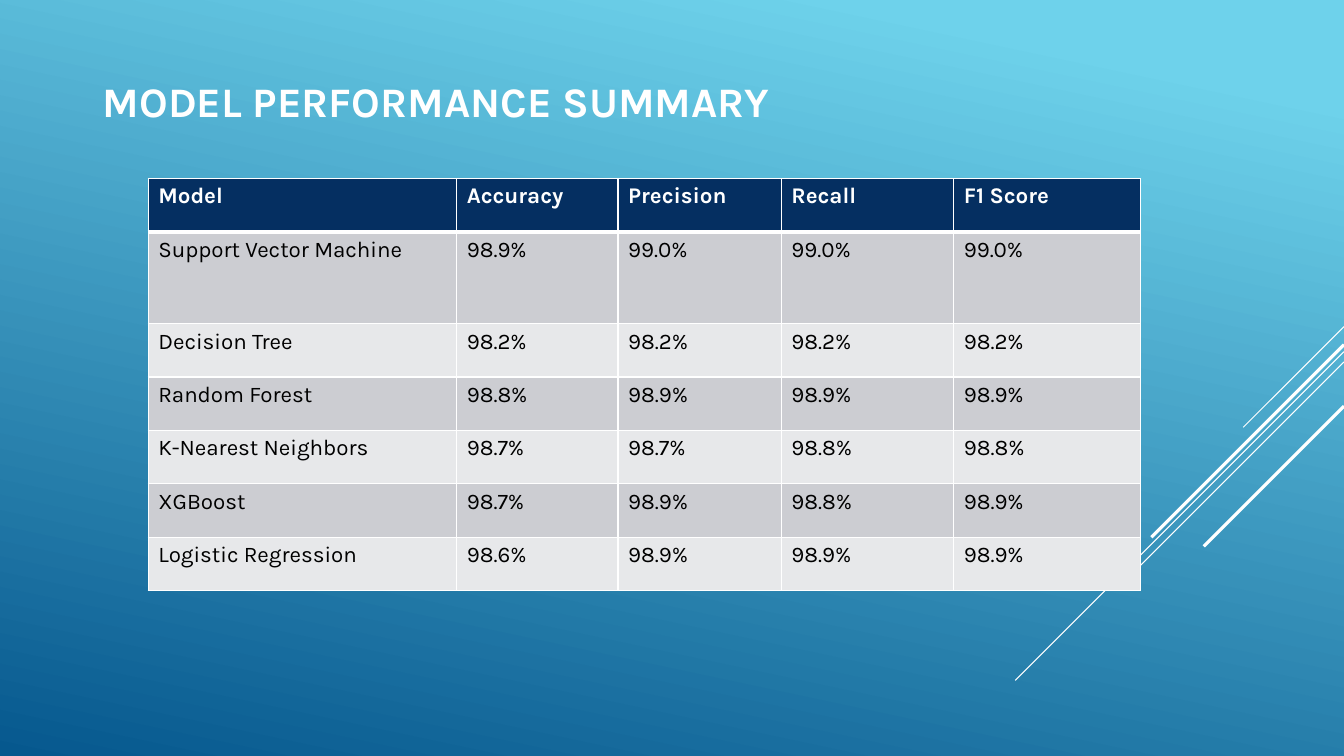
from pptx import Presentation
from pptx.dml.color import RGBColor
from pptx.enum.shapes import MSO_CONNECTOR
from pptx.enum.text import MSO_ANCHOR, MSO_AUTO_SIZE, PP_ALIGN
from pptx.oxml.ns import qn
from pptx.util import Inches, Pt
from lxml import etree

STRAIGHT = MSO_CONNECTOR.STRAIGHT
MIDDLE = MSO_ANCHOR.MIDDLE
FIXED = MSO_AUTO_SIZE.NONE
LEFT = PP_ALIGN.LEFT

WIDE, HIGH = Inches(13.33), Inches(7.5)
FONT = "Karla"
HUES = {
    "sky": "6ED2EB", "sea": "06588E", "navy": "052F61", "white": "FFFFFF",
    "black": "000000", "dark": "CCCDD2", "light": "E7E8EA",
}
HEAD = ["Model", "Accuracy", "Precision", "Recall", "F1 Score"]
SCORES = [
    ["Support Vector Machine", 98.9, 99.0, 99.0, 99.0],
    ["Decision Tree", 98.2, 98.2, 98.2, 98.2],
    ["Random Forest", 98.8, 98.9, 98.9, 98.9],
    ["K-Nearest Neighbors", 98.7, 98.7, 98.8, 98.8],
    ["XGBoost", 98.7, 98.9, 98.8, 98.9],
    ["Logistic Regression", 98.6, 98.9, 98.9, 98.9],
]
COLS = [3.06, 1.6, 1.62, 1.71, 1.85]
ROWS = [0.53, 0.91] + [0.53] * 5
RAYS = [(43.2, 7.5, 0.75), (46.53, 24.46, 0.75), (47.87, 15.53, 0.75),
        (45.6, 14.33, 2.25), (53.73, 10.43, 2.25)]


def hue(name):
    """Return the named colour."""
    return RGBColor.from_string(HUES[name])


def area(left, top, width, height):
    """Turn percentages of the slide into a box."""
    return (int(WIDE * left / 100), int(HIGH * top / 100),
            int(WIDE * width / 100), int(HIGH * height / 100))


def style(para, size, tint, bold):
    """Format the runs of a paragraph."""
    para.alignment = LEFT
    for run in para.runs:
        run.font.name, run.font.size, run.font.bold = FONT, Pt(size), bold
        run.font.color.rgb = hue(tint)


def paint(slide):
    """Give the slide its slanted gradient."""
    fill = slide.background.fill
    fill.gradient()
    fill.gradient_angle = 258
    for stop, place, name in zip(fill.gradient_stops, (0.1, 1), ("sky", "sea")):
        stop.position = place
        stop.color.rgb = hue(name)


def draw_rays(slide, box):
    """Draw diagonal lines from the right edge of the box."""
    left, top, width, height = box
    right = left + width
    for start, reach, weight in RAYS:
        y, run = top + int(height * start / 100), int(width * reach / 100)
        ray = slide.shapes.add_connector(STRAIGHT, right, y, right - run, y + run)
        ray.line.color.rgb = hue("white")
        ray.line.width = Pt(weight)
        etree.SubElement(ray.line._get_or_add_ln().getparent(), qn("a:effectLst"))


def set_title(slide, box):
    """Place and format the title."""
    title = slide.shapes.title
    title.left, title.top, title.width, title.height = box
    frame = title.text_frame
    frame.text = "MODEL PERFORMANCE SUMMARY"
    frame.auto_size, frame.word_wrap = FIXED, True
    frame.vertical_anchor = MIDDLE
    style(frame.paragraphs[0], 30, "white", True)


def edge(cell, row):
    """Add white borders, with a thick rule below the header."""
    props = cell._tc.get_or_add_tcPr()
    thick = {"T": row == 1, "B": row == 0}
    for side in "LRTB":
        width = Pt(3 if thick.get(side) else 1)
        line = etree.SubElement(props, qn("a:ln" + side), w=str(width))
        solid = etree.SubElement(line, qn("a:solidFill"))
        etree.SubElement(solid, qn("a:srgbClr"), val=HUES["white"])


def add_scores(slide, box):
    """Build the score table in the box."""
    left, top, width, height = box
    table = slide.shapes.add_table(len(ROWS), len(COLS), *box).table
    for col, part in zip(table.columns, COLS):
        col.width = int(width * part / sum(COLS))
    for row, part in zip(table.rows, ROWS):
        row.height = int(height * part / sum(ROWS))
    body = [[name] + [f"{score:.1f}%" for score in rest] for name, *rest in SCORES]
    for r, texts in enumerate([HEAD] + body):
        back = "navy" if r == 0 else ("light", "dark")[r % 2]
        for c, text in enumerate(texts):
            cell = table.cell(r, c)
            cell.text_frame.text = text
            style(cell.text_frame.paragraphs[0], 16,
                  "black" if r else "white", r == 0)
            edge(cell, r)
            cell.fill.solid()
            cell.fill.fore_color.rgb = hue(back)


def main():
    """Build and save the slide."""
    deck = Presentation()
    deck.slide_width, deck.slide_height = WIDE, HIGH
    slide = deck.slides.add_slide(deck.slide_layouts[5])
    paint(slide)
    draw_rays(slide, area(0, 0, 100, 100))
    set_title(slide, area(6.9, 5.87, 70, 14.93))
    add_scores(slide, area(11.03, 23.6, 73.82, 54.53))
    deck.save("out.pptx")


if __name__ == "__main__":
    main()
